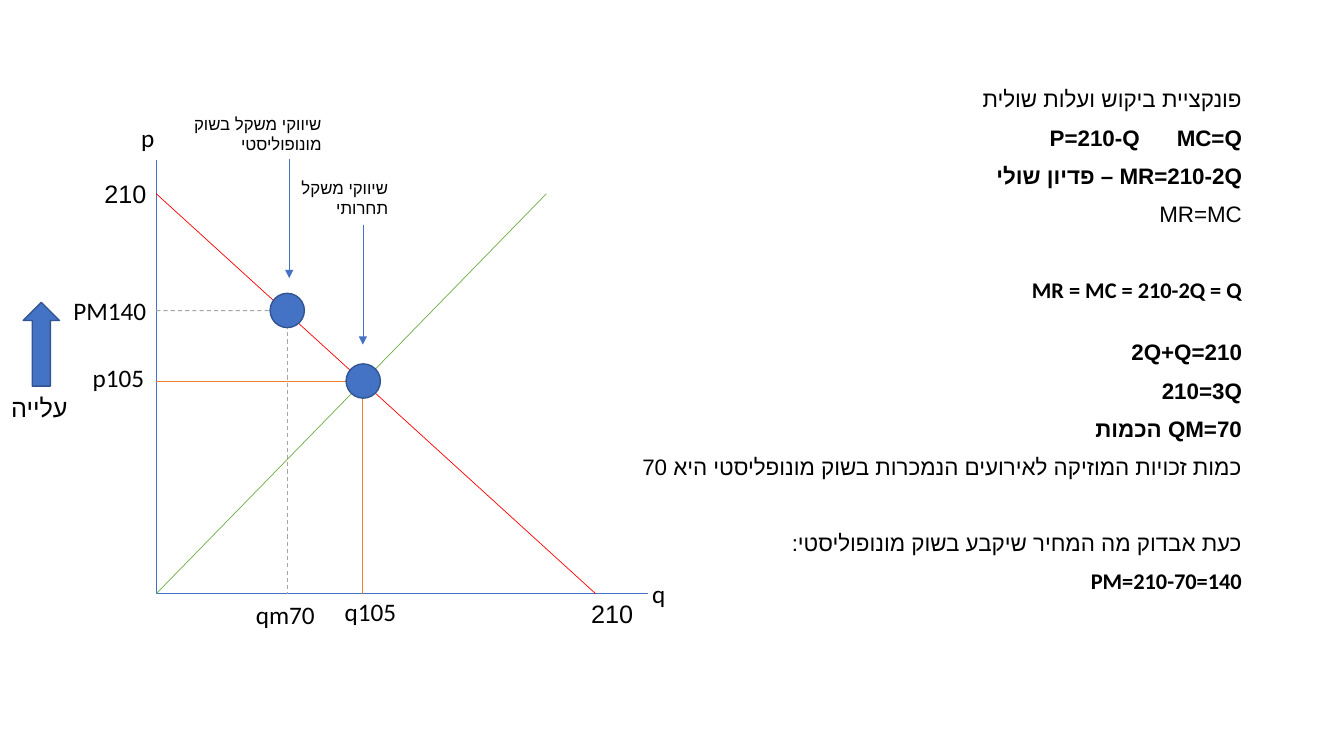
from dataclasses import dataclass

from lxml import etree
from pptx import Presentation
from pptx.dml.color import RGBColor
from pptx.enum.dml import MSO_LINE
from pptx.enum.shapes import MSO_CONNECTOR, MSO_SHAPE
from pptx.enum.text import MSO_AUTO_SIZE, PP_ALIGN
from pptx.oxml.ns import qn
from pptx.shapes.autoshape import Shape
from pptx.slide import Slide
from pptx.text.text import _Paragraph
from pptx.util import Pt

STRAIGHT = MSO_CONNECTOR.STRAIGHT
OVAL, UP_ARROW = MSO_SHAPE.OVAL, MSO_SHAPE.UP_ARROW
DASH = MSO_LINE.DASH
RIGHT = PP_ALIGN.RIGHT
FIT = MSO_AUTO_SIZE.SHAPE_TO_FIT_TEXT
RIGHT_SIDE = 3

BLACK, BLUE, DARK_BLUE = "000000", "4472C4", "325491"
RED, GREEN, ORANGE, GRAY = "FF0000", "70AD47", "ED7D31", "A5A5A5"

ORIGIN_X, ORIGIN_Y = 111.6, 424.1
TOP_PRICE_Y = 138.5
MONOPOLY_X, MONOPOLY_Y = 205.2, 221.8
MARKET_X, MARKET_Y = 258.5, 272.2
DOT = 24.5
ROW_GAP = 10
SKIPPED_ROW = 37.3


@dataclass(frozen=True)
class Formula:
    text: str
    bold: bool = False
    font: str = "Arial"
    rtl: bool = True
    before: float = ROW_GAP


@dataclass(frozen=True)
class Label:
    text: str
    left: float
    top: float
    width: float
    size: int = 18


@dataclass(frozen=True)
class Segment:
    start: tuple[float, float]
    end: tuple[float, float]
    color: str
    width: float = 0.5
    dashed: bool = False
    arrow: bool = False
    label: str = ""


FORMULAS = [
    Formula("פונקציית ביקוש ועלות שולית"),
    Formula("P=210-Q\tMC=Q", bold=True),
    Formula("MR=210-2Q – פדיון שולי", bold=True),
    Formula("MR=MC"),
    Formula("MR = MC = 210-2Q = Q", bold=True, font="Calibri", before=SKIPPED_ROW),
    Formula("210=2Q+Q", bold=True, before=27),
    Formula("210=3Q", bold=True, rtl=False),
    Formula("QM=70 הכמות", bold=True),
    Formula("כמות זכויות המוזיקה לאירועים הנמכרות בשוק מונופליסטי היא 70"),
    Formula("כעת אבדוק מה המחיר שיקבע בשוק מונופוליסטי:", before=SKIPPED_ROW),
    Formula("PM=210-70=140", bold=True, font="Calibri", rtl=False),
]

LABELS = {
    "top price": Label("210", 51.8, 123.9, 59.8),
    "top quantity": Label("210", 399.6, 424.1, 59.8),
    "monopoly price": Label("PM140", -15.1, 207.4, 126.7),
    "monopoly quantity": Label("qm70", 85, 424.8, 146.9),
    "price axis": Label("p", 45.4, 83.5, 72),
    "quantity axis": Label("q", 437, 409.7, 45.4),
    "market price": Label("p105", 11.5, 254.9, 98.6),
    "market quantity": Label("q105", 174.2, 422.6, 115.9),
    "market note": Label("שיווקי משקל\nתחרותי", 172.1, 123.1, 112.3, 12),
    "monopoly note": Label("שיווקי משקל בשוק מונופוליסטי", 85.7, 77.8, 151.2, 12),
    "rise": Label("עלייה", -10.8, 276.5, 66.2),
}

SEGMENTS = [
    Segment((ORIGIN_X, 114.5), (ORIGIN_X, ORIGIN_Y), BLUE),
    Segment((ORIGIN_X, ORIGIN_Y), (463, ORIGIN_Y), BLUE),
    Segment((ORIGIN_X, TOP_PRICE_Y), (425.5, ORIGIN_Y), RED, label="top price"),
    Segment((ORIGIN_X, MONOPOLY_Y), (MONOPOLY_X, MONOPOLY_Y), GRAY, 0.75, True,
            label="monopoly price"),
    Segment((MONOPOLY_X, MONOPOLY_Y), (MONOPOLY_X, ORIGIN_Y), GRAY, 0.75, True),
    Segment((ORIGIN_X, ORIGIN_Y), (390.2, TOP_PRICE_Y), GREEN),
    Segment((MARKET_X, MARKET_Y), (ORIGIN_X, MARKET_Y), ORANGE),
    Segment((MARKET_X, MARKET_Y), (MARKET_X, ORIGIN_Y), ORANGE),
    Segment((259.2, 160.6), (259.2, 246.2), BLUE, arrow=True),
    Segment((206.6, 113.8), (206.6, 198.7), BLUE, arrow=True),
]


def rgb(color: str) -> RGBColor:
    return RGBColor.from_string(color)


def write(paragraph: _Paragraph, text: str, size: int, font: str,
          bold: bool = False, rtl: bool = True, gap: int = 0) -> None:
    paragraph.alignment = RIGHT
    paragraph._p.get_or_add_pPr().set("rtl", str(int(rtl)))
    run = paragraph.add_run()
    run.text = text
    for name, value in {"size": Pt(size), "name": font, "bold": bold}.items():
        setattr(run.font, name, value)
    run.font.color.rgb = rgb(BLACK)
    properties = run._r.get_or_add_rPr()
    etree.SubElement(properties, qn("a:cs")).set("typeface", "Arial")
    if gap:
        properties.set("spc", str(gap))


def draw_formulas(slide: Slide, formulas: list[Formula]) -> None:
    box = slide.shapes.add_textbox(Pt(66.2), Pt(59.8), Pt(828), Pt(342.7))
    frame = box.text_frame
    frame.word_wrap = True
    for index, formula in enumerate(formulas):
        paragraph = frame.add_paragraph() if index else frame.paragraphs[0]
        spacing = {"line_spacing": 0.9, "space_before": Pt(formula.before)}
        for name, value in spacing.items():
            setattr(paragraph, name, value)
        for part, text in enumerate(formula.text.split("\t")):
            if part:
                write(paragraph, " ", 16, formula.font, formula.bold, formula.rtl, 2200)
            write(paragraph, text, 16, formula.font, formula.bold, formula.rtl)


def draw_label(slide: Slide, label: Label) -> Shape:
    height = 29 if label.size == 18 else 36
    box = slide.shapes.add_textbox(Pt(label.left), Pt(label.top), Pt(label.width), Pt(height))
    frame = box.text_frame
    for name, value in {"word_wrap": True, "auto_size": FIT}.items():
        setattr(frame, name, value)
    for index, text in enumerate(label.text.split("\n")):
        paragraph = frame.add_paragraph() if index else frame.paragraphs[0]
        write(paragraph, text, label.size, "Calibri")
    return box


def draw_segment(slide: Slide, segment: Segment, labels: dict[str, Shape]) -> None:
    ends = [Pt(value) for value in (*segment.start, *segment.end)]
    connector = slide.shapes.add_connector(STRAIGHT, *ends)
    connector.line.color.rgb = rgb(segment.color)
    connector.line.width = Pt(segment.width)
    if segment.dashed:
        connector.line.dash_style = DASH
    if segment.arrow:
        outline = connector.line._get_or_add_ln()
        etree.SubElement(outline, qn("a:tailEnd")).set("type", "triangle")
    etree.SubElement(connector._element.spPr, qn("a:effectLst"))
    if segment.label:
        connector.begin_connect(labels[segment.label], RIGHT_SIDE)


def draw_mark(slide: Slide, preset: MSO_SHAPE, left: float, top: float,
              width: float, height: float) -> None:
    mark = slide.shapes.add_shape(preset, Pt(left), Pt(top), Pt(width), Pt(height))
    mark.shadow.inherit = False
    mark.fill.solid()
    mark.fill.fore_color.rgb = rgb(BLUE)
    mark.line.color.rgb = rgb(DARK_BLUE)
    mark.line.width = Pt(1)


def main() -> None:
    deck = Presentation()
    deck.slide_width, deck.slide_height = Pt(960), Pt(540)
    slide = deck.slides.add_slide(deck.slide_layouts[6])
    draw_formulas(slide, FORMULAS)
    labels = {key: draw_label(slide, label) for key, label in LABELS.items()}
    for segment in SEGMENTS:
        draw_segment(slide, segment, labels)
    for x, y in ((MONOPOLY_X, MONOPOLY_Y), (MARKET_X + 1, MARKET_Y)):
        draw_mark(slide, OVAL, x - DOT / 2, y - DOT / 2, DOT, DOT)
    draw_mark(slide, UP_ARROW, 16.6, 216, 25.9, 59.8)
    deck.save("out.pptx")


if __name__ == "__main__":
    main()
